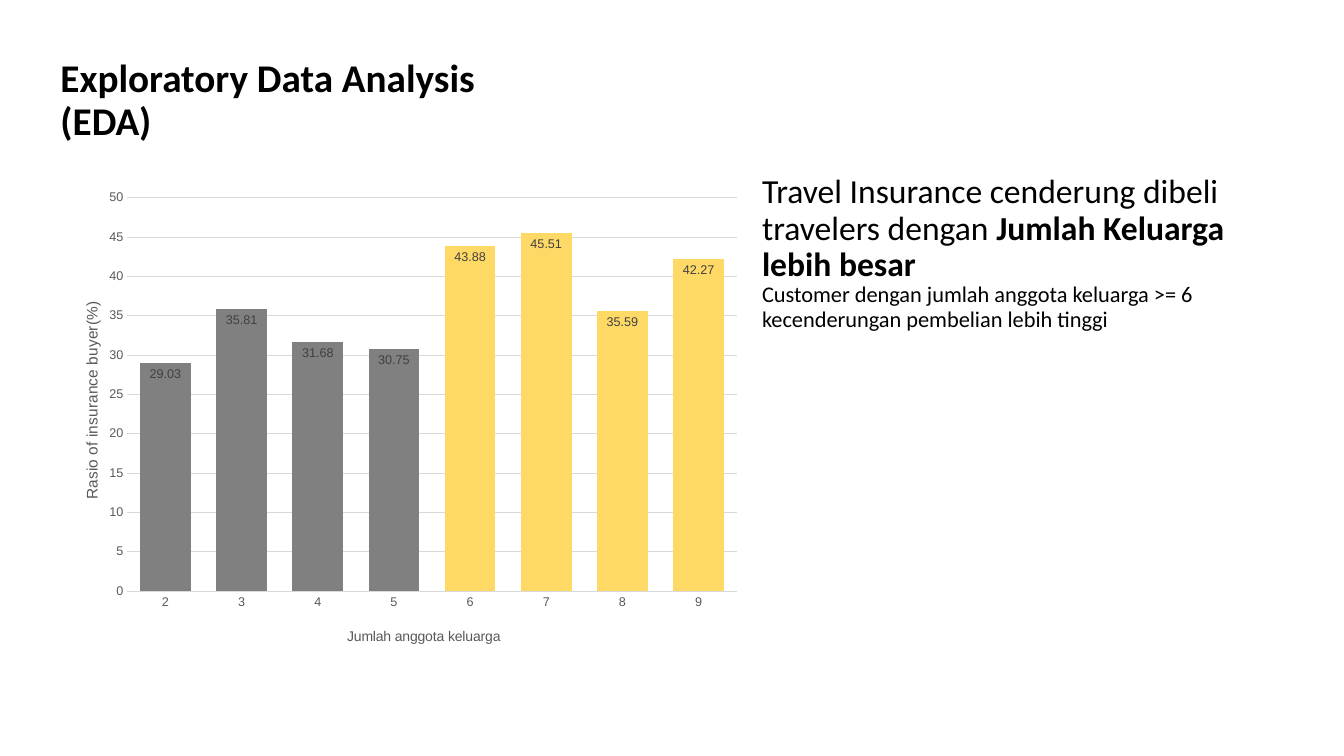
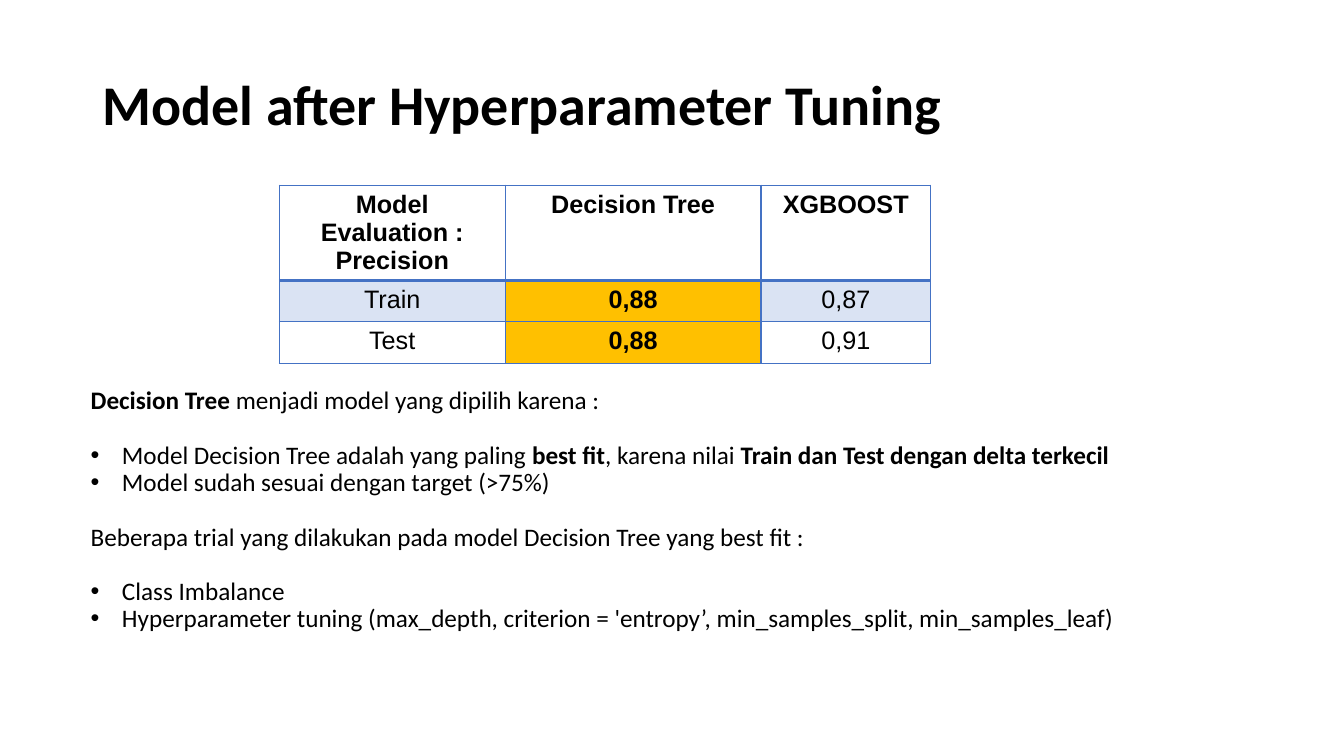
from lxml.etree import SubElement
from pptx import Presentation
from pptx.chart.data import CategoryChartData
from pptx.dml.color import RGBColor
from pptx.enum.chart import XL_CHART_TYPE, XL_LABEL_POSITION, XL_TICK_MARK
from pptx.enum.text import MSO_ANCHOR, MSO_AUTO_SIZE, PP_ALIGN
from pptx.oxml import parse_xml
from pptx.oxml.ns import nsdecls, qn
from pptx.util import Cm, Pt

COLUMNS = XL_CHART_TYPE.COLUMN_CLUSTERED
INSIDE_END = XL_LABEL_POSITION.INSIDE_END
NO_TICKS = XL_TICK_MARK.NONE
TOP, MIDDLE = MSO_ANCHOR.TOP, MSO_ANCHOR.MIDDLE
NO_FIT = MSO_AUTO_SIZE.NONE
LEFT, CENTER = PP_ALIGN.LEFT, PP_ALIGN.CENTER

BLACK = RGBColor(0x00, 0x00, 0x00)
LABEL_GRAY = RGBColor(0x40, 0x40, 0x40)
AXIS_GRAY = RGBColor(0x59, 0x59, 0x59)
BAR_GRAY = RGBColor(0x80, 0x80, 0x80)
GRID_GRAY = RGBColor(0xD9, 0xD9, 0xD9)
YELLOW = RGBColor(0xFF, 0xD9, 0x66)
GOLD = RGBColor(0xFF, 0xC0, 0x00)
BLUE = RGBColor(0x44, 0x72, 0xC4)
PALE_BLUE = RGBColor(0xDA, 0xE3, 0xF3)

TEXT_FONT = "Calibri"
DATA_FONT = "Arial"
LINE_GAP = 19.5


def style_font(font, name, size, color, bold=False):
    font.name = name
    font.size = Pt(size)
    font.color.rgb = color
    font.bold = bold


def place(shape, left, top, width, height):
    shape.left, shape.top = Cm(left), Cm(top)
    shape.width, shape.height = Cm(width), Cm(height)


def set_layout(parent, index, target="", **fractions):
    old = parent.find(qn("c:layout"))
    if old is not None:
        parent.remove(old)
    layout = parse_xml(f"<c:layout {nsdecls('c')}><c:manualLayout/></c:layout>")
    manual = layout[0]
    if target:
        SubElement(manual, qn("c:layoutTarget")).set("val", target)
    for mode in ("xMode", "yMode"):
        SubElement(manual, qn(f"c:{mode}")).set("val", "edge")
    for key, value in fractions.items():
        SubElement(manual, qn(f"c:{key}")).set("val", str(value))
    parent.insert(index, layout)


def set_border(cell, side, points):
    line = SubElement(cell._tc.get_or_add_tcPr(), qn(f"a:{side}"), w=str(Pt(points)))
    fill = SubElement(line, qn("a:solidFill"))
    SubElement(fill, qn("a:srgbClr"), val=str(BLUE))


class DeckBuilder:
    """Holds the deck style and the slide being filled."""

    def __init__(self):
        self.deck = Presentation()
        self.deck.slide_width, self.deck.slide_height = Cm(33.87), Cm(19.05)
        self.slide = None

    def add_slide(self):
        self.slide = self.deck.slides.add_slide(self.deck.slide_layouts[1])

    def fill_paragraph(self, para, text, size, bold=False):
        para.alignment = LEFT
        para.line_spacing = 0.9
        style_font(para.font, TEXT_FONT, size, BLACK, bold)
        for index, piece in enumerate(text.split("**")):
            if piece:
                span = para.add_run()
                span.text = piece
                if index % 2:
                    span.font.bold = True

    def prepare(self, box, anchor):
        frame = box.text_frame
        frame.word_wrap = True
        frame.auto_size = NO_FIT
        frame.vertical_anchor = anchor
        return frame

    def title(self, text, size, bounds):
        box = self.slide.shapes.title
        place(box, *bounds)
        para = self.prepare(box, MIDDLE).paragraphs[0]
        self.fill_paragraph(para, text, size, bold=True)

    def body(self, lines, bounds, anchor=MIDDLE):
        box = self.slide.placeholders[1]
        place(box, *bounds)
        frame = self.prepare(box, anchor)
        if anchor == TOP:
            frame.margin_top = Cm(0.25)
        for index, (text, size, bulleted, gap) in enumerate(lines):
            para = frame.paragraphs[0] if index == 0 else frame.add_paragraph()
            para.space_before = Pt(gap)
            properties = para._p.get_or_add_pPr()
            indent = Cm(0.79) if bulleted else 0
            properties.set("marL", str(indent))
            properties.set("indent", str(-indent))
            if bulleted:
                SubElement(properties, qn("a:buFont"), typeface=DATA_FONT)
                SubElement(properties, qn("a:buChar"), char="•")
            else:
                SubElement(properties, qn("a:buNone"))
            self.fill_paragraph(para, text, size)

    def axis(self, axis, title, size, left, top):
        axis.major_tick_mark = axis.minor_tick_mark = NO_TICKS
        style_font(axis.tick_labels.font, DATA_FONT, 9, AXIS_GRAY)
        para = axis.axis_title.text_frame.paragraphs[0]
        para.text = title
        style_font(para.font, DATA_FONT, size, AXIS_GRAY)
        set_layout(axis.axis_title._element, 1, x=left, y=top)

    def column_chart(self, values, highlight_from, category_title, value_title, bounds):
        data = CategoryChartData(number_format="0.00")
        data.categories = list(values)
        data.add_series("Series 1", values.values())
        chart = self.slide.shapes.add_chart(COLUMNS, *map(Cm, bounds), data).chart
        chart.has_legend = chart.has_title = False
        style_font(chart.font, DATA_FONT, 10, BLACK)
        set_layout(chart._chartSpace.find(f".//{qn('c:plotArea')}"), 0, "inner",
                   x=0.11, y=0.03, w=0.87, h=0.82)

        self.axis(chart.category_axis, category_title, 10, 0.42, 0.92)
        category_line = chart.category_axis.format.line
        category_line.color.rgb = GRID_GRAY
        category_line.width = Pt(0.75)

        value_axis = chart.value_axis
        self.axis(value_axis, value_title, 11, 0.04, 0.24)
        value_axis.minimum_scale, value_axis.maximum_scale = 0, 50
        value_axis.major_unit = 5
        value_axis.tick_labels.number_format = "0"
        value_axis.tick_labels.number_format_is_linked = False
        value_axis.format.line.fill.background()
        grid_line = value_axis.major_gridlines.format.line
        grid_line.color.rgb = GRID_GRAY
        grid_line.width = Pt(0.75)

        plot = chart.plots[0]
        plot.gap_width, plot.overlap = 50, -27
        plot.vary_by_categories = False
        series = plot.series[0]
        series.format.fill.solid()
        series.format.fill.fore_color.rgb = BAR_GRAY
        for index in range(highlight_from, len(values)):
            fill = series.points[index].format.fill
            fill.solid()
            fill.fore_color.rgb = YELLOW
        labels = series.data_labels
        labels.show_value = True
        labels.position = INSIDE_END
        style_font(labels.font, DATA_FONT, 9, LABEL_GRAY)

    def table(self, rows, widths, heights, left, top, best_column):
        bounds = map(Cm, (left, top, sum(widths), sum(heights)))
        table = self.slide.shapes.add_table(len(rows), len(widths), *bounds).table
        table.first_row = table.horz_banding = False
        for column, width in zip(table.columns, widths):
            column.width = Cm(width)
        for row_index, texts in enumerate(rows):
            table.rows[row_index].height = Cm(heights[row_index])
            for column_index, text in enumerate(texts):
                cell = table.cell(row_index, column_index)
                header = row_index == 0
                best = column_index == best_column and not header
                para = cell.text_frame.paragraphs[0]
                para.text = text
                para.alignment = CENTER
                style_font(para.font, DATA_FONT, 18, BLACK, header or best)
                for side in ("lnL", "lnR", "lnT", "lnB"):
                    thick = (row_index, side) in ((0, "lnB"), (1, "lnT"))
                    set_border(cell, side, 2 if thick else 1)
                if best or row_index % 2:
                    cell.fill.solid()
                    cell.fill.fore_color.rgb = GOLD if best else PALE_BLUE
                else:
                    cell.fill.background()


def family_size_slide(builder):
    builder.add_slide()
    builder.body([
        ("Travel Insurance cenderung dibeli travelers dengan "
         "**Jumlah Keluarga lebih besar**", 24, False, 0),
        ("Customer dengan jumlah anggota keluarga >= 6 "
         "kecenderungan pembelian lebih tinggi", 16, False, 0),
    ], (18.95, 3.25, 12.7, 6.27))
    builder.title("Exploratory Data Analysis (EDA)", 28, (1.27, 0.71, 13.41, 3.68))
    buyer_ratios = {"2": 29.03, "3": 35.81, "4": 31.68, "5": 30.75,
                    "6": 43.88, "7": 45.51, "8": 35.59, "9": 42.27}
    builder.column_chart(buyer_ratios, 4, "Jumlah anggota keluarga",
                         "Rasio of insurance buyer(%)", (1.27, 4.62, 17.65, 12.09))


def tuning_slide(builder):
    builder.add_slide()
    builder.title("Model after Hyperparameter Tuning", 40, (2.34, 1.35, 25.81, 2.72))
    builder.table([
        ("Model Evaluation : Precision", "Decision Tree", "XGBOOST"),
        ("Train", "0,88", "0,87"),
        ("Test", "0,88", "0,91"),
    ], (5.69, 6.45, 4.27), (2.4, 1.04, 1.04), 7.04, 4.67, best_column=1)
    builder.body([
        ("**Decision Tree** menjadi model yang dipilih karena :", 18, False, 0),
        ("Model Decision Tree adalah yang paling **best fit**, karena nilai "
         "**Train dan Test dengan delta terkecil**", 18, True, LINE_GAP),
        ("Model sudah sesuai dengan target (>75%)", 18, True, 0),
        ("Beberapa trial yang dilakukan pada model Decision Tree yang best fit :",
         18, False, LINE_GAP),
        ("Class Imbalance", 18, True, LINE_GAP),
        ("Hyperparameter tuning (max_depth, criterion = 'entropy’, "
         "min_samples_split, min_samples_leaf)", 18, True, 0),
    ], (2.03, 9.53, 26.42, 8.18), TOP)


def main():
    builder = DeckBuilder()
    family_size_slide(builder)
    tuning_slide(builder)
    builder.deck.save("out.pptx")


if __name__ == "__main__":
    main()
